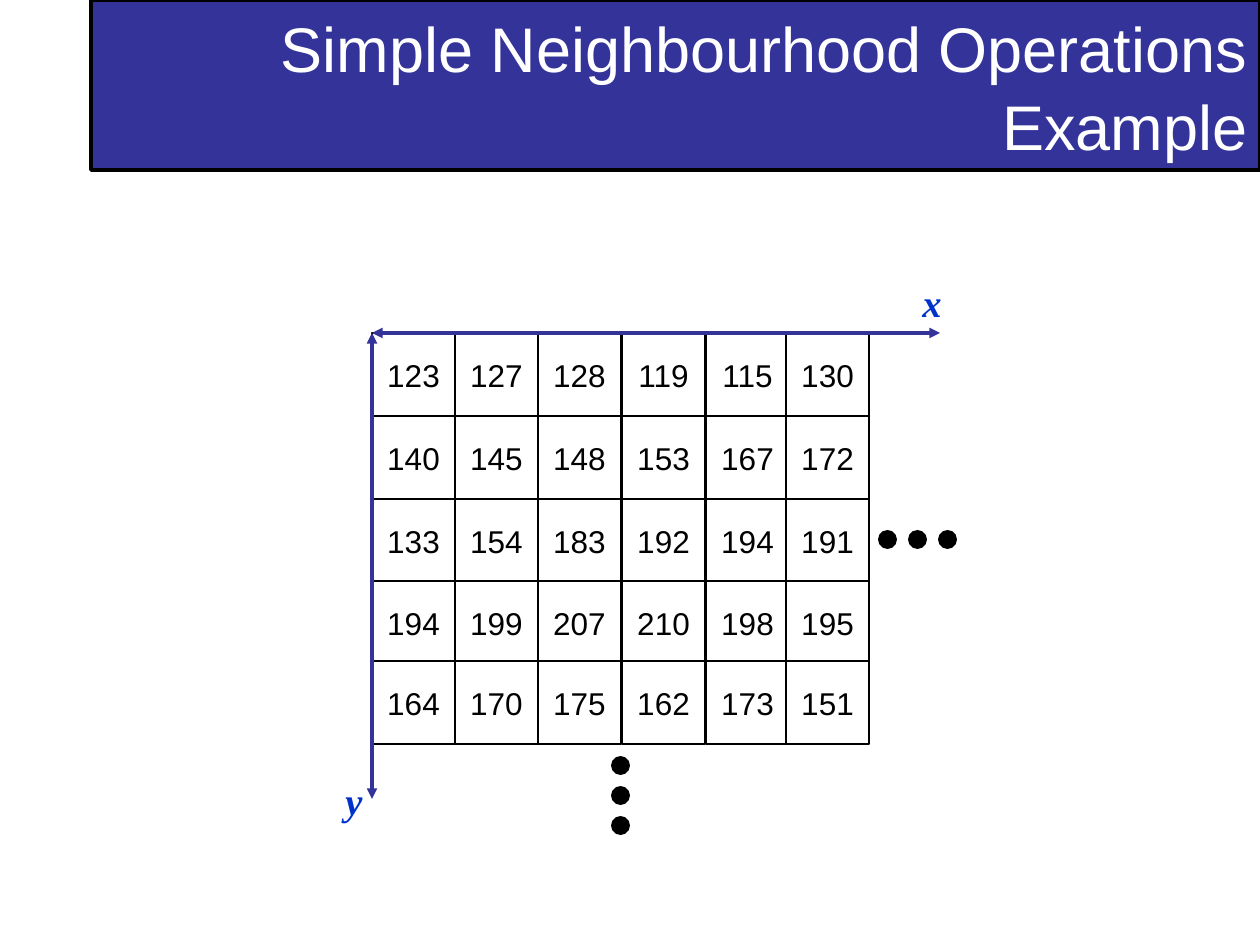
from dataclasses import dataclass

import pptx
import pptx.util
from lxml import etree
from pptx.dml.color import RGBColor
from pptx.enum.shapes import MSO_CONNECTOR, MSO_SHAPE
from pptx.enum.text import MSO_ANCHOR, MSO_AUTO_SIZE, PP_ALIGN
from pptx.oxml.ns import qn

PX_PER_INCH = 126


def emu(px):
    return round(px * 914400 / PX_PER_INCH)


@dataclass(frozen=True)
class Theme:
    navy: str = "333399"
    blue: str = "0033CC"
    black: str = "000000"
    white: str = "FFFFFF"
    sans: str = "Arial"
    serif: str = "Times New Roman"
    title_size: int = 36
    value_size: int = 18
    axis_size: int = 22
    thin: int = 1
    thick: int = 2


class Deck:
    """Holds the theme and the slide being drawn; all lengths are px."""

    def __init__(self, prs, theme):
        self.theme = theme
        self.s = prs.slides.add_slide(prs.slide_layouts[5])

    def paint(self, sp, fill, line=None, width=1):
        sp.fill.solid()
        sp.fill.fore_color.rgb = RGBColor.from_string(fill)
        if line:
            sp.line.color.rgb = RGBColor.from_string(line)
            sp.line.width = pptx.util.Pt(width)
        else:
            sp.line.fill.background()

    def set_text(self, sp, text, color, align, frame, **font):
        tf = sp.text_frame
        for name, value in frame.items():
            setattr(tf, name, value)
        p = tf.paragraphs[0]
        p.alignment = align
        r = p.add_run()
        r.text = text
        r.font.color.rgb = RGBColor.from_string(color)
        for name, value in font.items():
            setattr(r.font, name, value)
        return p

    def title(self, text, x, y, w, h):
        t = self.theme
        sp = self.s.shapes.title
        sp.left, sp.top, sp.width, sp.height = map(emu, (x, y, w, h))
        self.paint(sp, t.navy, t.black, t.thick)
        frame = {"word_wrap": True, "auto_size": MSO_AUTO_SIZE.NONE,
                 "vertical_anchor": MSO_ANCHOR.MIDDLE}
        p = self.set_text(sp, text, t.white, PP_ALIGN.RIGHT, frame,
                          name=t.sans, size=pptx.util.Pt(t.title_size))
        p.line_spacing = 1.04

    def shape(self, kind, x, y, w, h):
        sp = self.s.shapes.add_shape(kind, *map(emu, (x, y, w, h)))
        sp.shadow.inherit = False
        return sp

    def cell(self, value, x, y, size):
        t = self.theme
        sp = self.shape(MSO_SHAPE.RECTANGLE, x, y, size, size)
        self.paint(sp, t.white, t.black, t.thin)
        frame = {"word_wrap": False, "vertical_anchor": MSO_ANCHOR.MIDDLE}
        self.set_text(sp, str(value), t.black, PP_ALIGN.CENTER, frame,
                      name=t.sans, size=pptx.util.Pt(t.value_size))

    def dot(self, x, y, size):
        sp = self.shape(MSO_SHAPE.OVAL, x, y, size, size)
        self.paint(sp, self.theme.black)

    def axis(self, x1, y1, x2, y2):
        """Draw a line with an arrowhead at both ends."""
        t = self.theme
        line = self.s.shapes.add_connector(
            MSO_CONNECTOR.STRAIGHT, *map(emu, (x1, y1, x2, y2)))
        line.line.color.rgb = RGBColor.from_string(t.navy)
        line.line.width = pptx.util.Pt(t.thick)
        sp_pr = line._element.spPr
        ln = sp_pr.find(qn("a:ln"))
        for end in ("a:headEnd", "a:tailEnd"):
            etree.SubElement(ln, qn(end), type="triangle")
        etree.SubElement(sp_pr, qn("a:effectLst"))

    def axis_name(self, text, x, y, w, h):
        t = self.theme
        sp = self.s.shapes.add_textbox(*map(emu, (x, y, w, h)))
        frame = {"word_wrap": False, "auto_size": MSO_AUTO_SIZE.SHAPE_TO_FIT_TEXT}
        self.set_text(sp, text, t.blue, PP_ALIGN.LEFT, frame, name=t.serif,
                      size=pptx.util.Pt(t.axis_size), bold=True, italic=True)


PIXELS = [
    [123, 127, 128, 119, 115, 130],
    [140, 145, 148, 153, 167, 172],
    [133, 154, 183, 192, 194, 191],
    [194, 199, 207, 210, 198, 195],
    [164, 170, 175, 162, 173, 151],
]
COLUMNS = [372, 455, 538, 622, 706, 786]
ROWS = [333, 416, 499, 581, 661]
CELL = 83
DOT, DOT_STEP = 19, 30


def main():
    prs = pptx.Presentation()
    prs.slide_width, prs.slide_height = emu(1260), emu(945)
    deck = Deck(prs, Theme())
    deck.title("Simple Neighbourhood Operations Example", 91, 0, 1169, 170)

    for y, values in zip(ROWS, PIXELS):
        for x, value in zip(COLUMNS, values):
            deck.cell(value, x, y, CELL)

    left, top = COLUMNS[0], ROWS[0]
    deck.axis(left, top, 940, top)
    deck.axis(left, top, left, 799)
    deck.axis_name("x", 910, 273, 44, 59)
    deck.axis_name("y", 333, 771, 42, 59)

    for i in range(3):
        deck.dot(878 + i * DOT_STEP, 530, DOT)
        deck.dot(611, 756 + i * DOT_STEP, DOT)

    prs.save("out.pptx")


if __name__ == "__main__":
    main()
